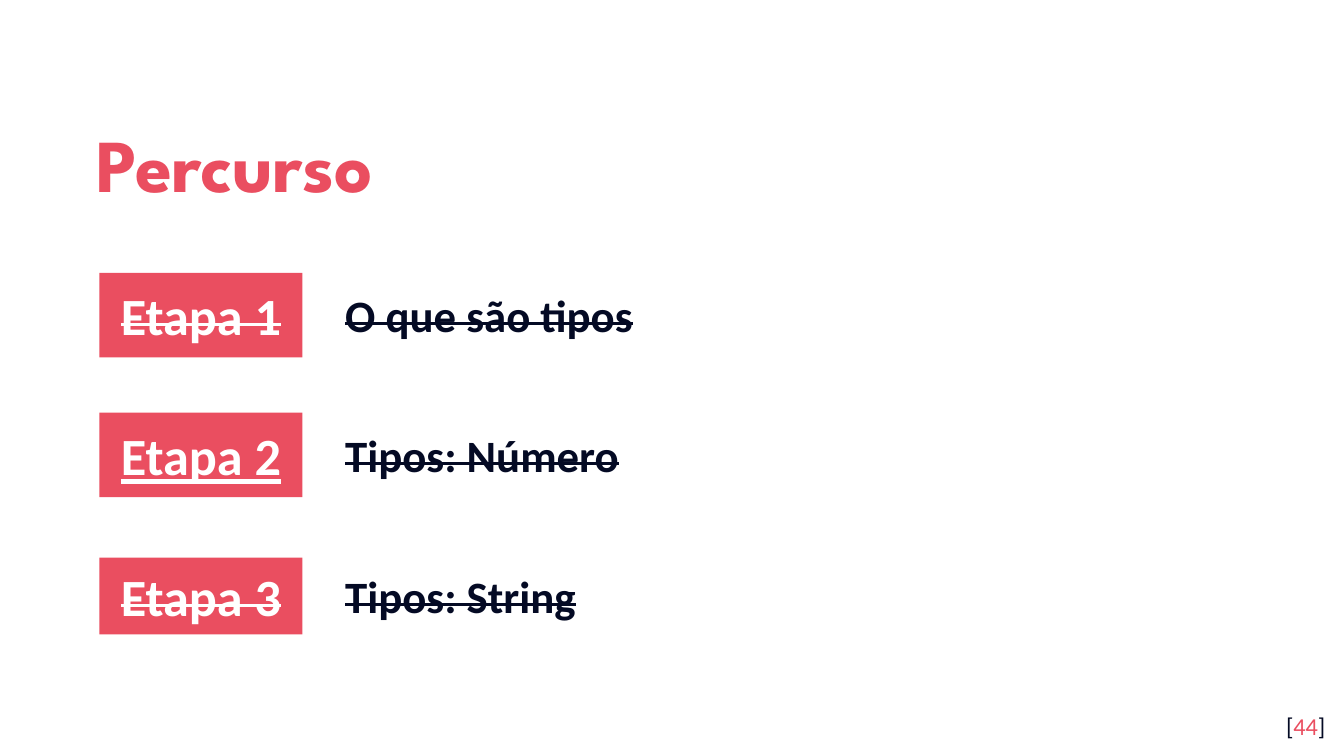
from pptx import Presentation
from pptx.dml.color import RGBColor
from pptx.enum.shapes import MSO_SHAPE
from pptx.enum.text import MSO_ANCHOR, MSO_AUTO_SIZE, PP_ALIGN
from pptx.util import Inches, Pt

CORAL = RGBColor(0xEA, 0x4E, 0x60)
NAVY = RGBColor(0x04, 0x0A, 0x24)
WHITE = RGBColor(0xFF, 0xFF, 0xFF)

# label, topic, top and height of the label box, whether the label is struck out
STAGES = [
    ("Etapa 1", "O que são tipos", 2.03, 0.63, True),
    ("Etapa 2", "Tipos: Número", 3.07, 0.63, False),
    ("Etapa 3", "Tipos: String", 4.15, 0.57, True),
]
TOPIC_HEIGHT = 0.5


def add_run(paragraph, text, size, color, font="Calibri", bold=False,
            underline=False, strike=False):
    run = paragraph.add_run()
    run.text = text
    run.font.name = font
    run.font.size = Pt(size)
    run.font.bold = bold
    run.font.color.rgb = color
    if underline:
        run.font.underline = True
    if strike:
        run._r.get_or_add_rPr().set("strike", "sngStrike")


class SlideBuilder:
    def __init__(self, slide):
        self.slide = slide

    def prepare_frame(self, shape, anchor, align, vertical_inset=0.1):
        """Set up the text frame and return its first paragraph."""
        frame = shape.text_frame
        frame.word_wrap = True
        frame.auto_size = MSO_AUTO_SIZE.NONE
        frame.vertical_anchor = anchor
        frame.margin_left = frame.margin_right = Inches(0.1)
        frame.margin_top = frame.margin_bottom = Inches(vertical_inset)
        paragraph = frame.paragraphs[0]
        paragraph.alignment = align
        return paragraph

    def title(self, text):
        title = self.slide.shapes.title
        title.left, title.top = Inches(0.62), Inches(0.7)
        title.width, title.height = Inches(8.1), Inches(0.92)
        paragraph = self.prepare_frame(title, MSO_ANCHOR.MIDDLE, PP_ALIGN.LEFT)
        paragraph.line_spacing = 1.15
        add_run(paragraph, text, 40, CORAL, font="League Spartan", bold=True)

    def label(self, text, top, height, done):
        box = self.slide.shapes.add_shape(
            MSO_SHAPE.RECTANGLE, Inches(0.74), Inches(top), Inches(1.51), Inches(height))
        box.shadow.inherit = False
        box.fill.solid()
        box.fill.fore_color.rgb = CORAL
        box.line.fill.background()
        paragraph = self.prepare_frame(box, MSO_ANCHOR.MIDDLE, PP_ALIGN.CENTER)
        add_run(paragraph, text, 28, WHITE, bold=True, underline=not done, strike=done)

    def topic(self, text, top):
        box = self.slide.shapes.add_textbox(
            Inches(2.47), Inches(top), Inches(6.75), Inches(TOPIC_HEIGHT))
        paragraph = self.prepare_frame(box, MSO_ANCHOR.TOP, PP_ALIGN.LEFT, 0.05)
        properties = paragraph._p.get_or_add_pPr()
        properties.set("marL", str(Inches(0.5)))
        properties.set("indent", str(Inches(-0.5)))
        add_run(paragraph, text, 24, NAVY, bold=True, strike=True)

    def page_number(self, number):
        box = self.slide.shapes.add_textbox(
            Inches(9.36), Inches(5.19), Inches(0.6), Inches(0.43))
        paragraph = self.prepare_frame(box, MSO_ANCHOR.TOP, PP_ALIGN.RIGHT)
        for text, color in (("[", NAVY), (number, CORAL), ("]", NAVY)):
            add_run(paragraph, text, 13, color)


def main():
    presentation = Presentation()
    presentation.slide_width = Inches(10)
    presentation.slide_height = Inches(10 * 9 / 16)
    title_only = presentation.slide_layouts[5]
    builder = SlideBuilder(presentation.slides.add_slide(title_only))

    builder.title("Percurso")
    for label, topic, top, height, done in STAGES:
        builder.label(label, top, height, done)
        builder.topic(topic, top + (height - TOPIC_HEIGHT) / 2)
    builder.page_number("44")
    presentation.save("out.pptx")


if __name__ == "__main__":
    main()
